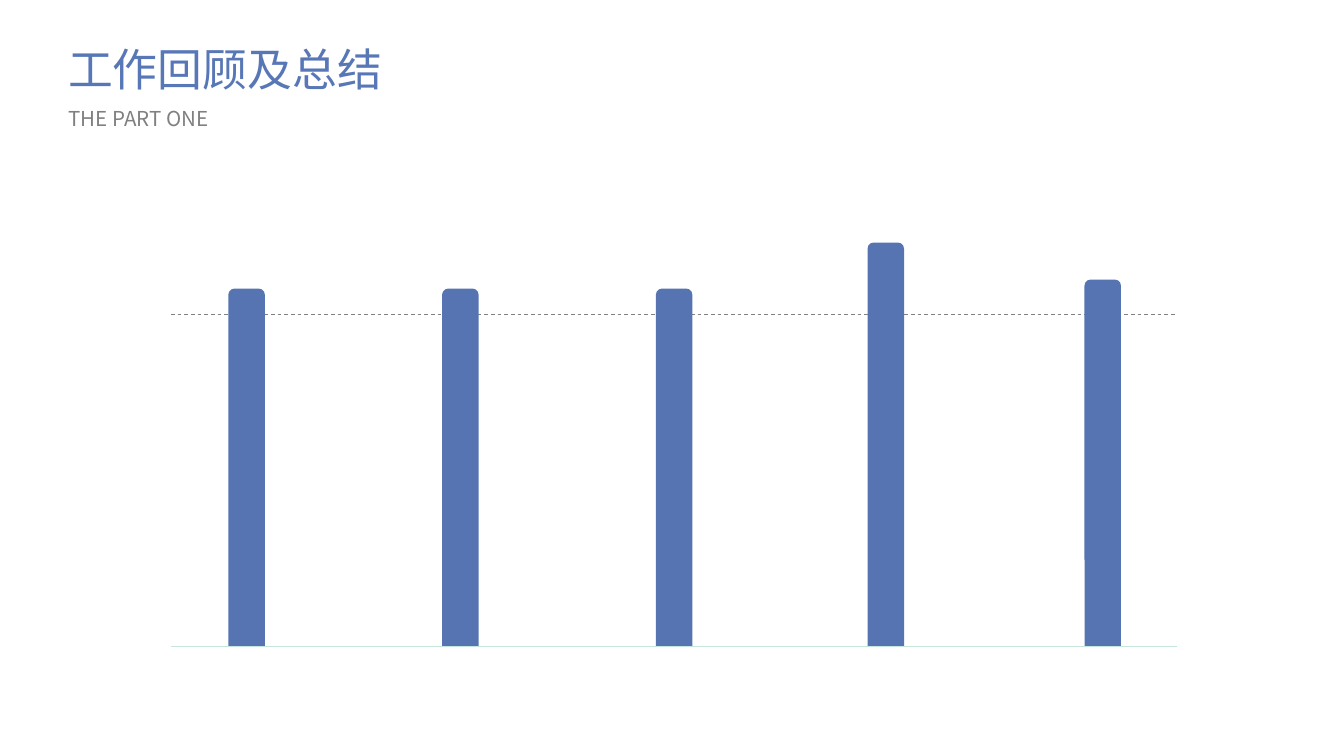
"""Build the work review slide with five bars, a guide line and a baseline."""
from lxml import etree
from pptx import Presentation
from pptx.dml.color import RGBColor
from pptx.enum.dml import MSO_LINE
from pptx.enum.shapes import MSO_CONNECTOR, MSO_SHAPE
from pptx.enum.text import MSO_AUTO_SIZE
from pptx.oxml.ns import qn
from pptx.util import Cm, Pt

STRAIGHT = MSO_CONNECTOR.STRAIGHT
ROUNDED_RECTANGLE = MSO_SHAPE.ROUNDED_RECTANGLE
RECTANGLE = MSO_SHAPE.RECTANGLE
DASH = MSO_LINE.DASH
SOLID = MSO_LINE.SOLID
FIT_SHAPE = MSO_AUTO_SIZE.SHAPE_TO_FIT_TEXT

BLUE = RGBColor(0x56, 0x74, 0xB2)
TITLE_TOP = RGBColor(0x58, 0x77, 0xB6)
TITLE_BOTTOM = RGBColor(0x46, 0x5E, 0x96)
GRAY = RGBColor(0x80, 0x80, 0x80)
MINT = RGBColor(0xC8, 0xE5, 0xDC)
WHITE = RGBColor(0xFF, 0xFF, 0xFF)
FONT = "Noto Sans CJK SC"


def add_rule(y, color, dash_style):
    connector = slide.shapes.add_connector(STRAIGHT, Cm(3.23), Cm(y), Cm(22.25), Cm(y))
    connector.line.color.rgb = color
    for name, value in {"width": Pt(0.5), "dash_style": dash_style}.items():
        setattr(connector.line, name, value)
    etree.SubElement(connector._element.spPr, qn("a:effectLst"))


def add_label(text, top, width, height, size):
    shape = slide.shapes.add_textbox(Cm(1.04), Cm(top), Cm(width), Cm(height))
    for name, value in {"word_wrap": True, "auto_size": FIT_SHAPE}.items():
        setattr(shape.text_frame, name, value)
    run = shape.text_frame.paragraphs[0].add_run()
    run.text = text
    for name, value in {"name": FONT, "size": Pt(size)}.items():
        setattr(run.font, name, value)
    etree.SubElement(run._r.get_or_add_rPr(), qn("a:ea"), typeface=FONT)
    return run.font


presentation = Presentation()
presentation.slide_width = Cm(25.4)
presentation.slide_height = Cm(14.29)
slide = presentation.slides.add_slide(presentation.slide_layouts[6])

add_rule(5.94, GRAY, DASH)

bar_width = 0.69
bars = [
    (4.66, 9.0, 7.09),
    (8.7, 9.0, 7.09),
    (12.74, 9.0, 7.09),
    (16.74, 8.47, 7.77),
    (20.84, 8.83, 7.09),
]
for center_x, center_y, length in bars:
    bar = slide.shapes.add_shape(
        ROUNDED_RECTANGLE,
        Cm(center_x - length / 2),
        Cm(center_y - bar_width / 2),
        Cm(length),
        Cm(bar_width),
    )
    bar.rotation = 90
    bar.adjustments[0] = 0.17
    bar.shadow.inherit = False
    bar.fill.solid()
    bar.fill.fore_color.rgb = BLUE
    bar.line.fill.background()

title_font = add_label("工作回顾及总结", 0.66, 6.58, 1.27, 24)
title_font.fill.gradient()
title_font.fill.gradient_angle = 270
for stop, color in zip(title_font.fill.gradient_stops, (TITLE_TOP, TITLE_BOTTOM)):
    stop.color.rgb = color

subtitle_font = add_label("THE PART ONE", 1.88, 5.16, 0.74, 11)
subtitle_font.color.rgb = GRAY

bottom_mask = slide.shapes.add_shape(RECTANGLE, Cm(4.32), Cm(12.24), Cm(17.93), Cm(2.03))
bottom_mask.shadow.inherit = False
bottom_mask.fill.solid()
bottom_mask.fill.fore_color.rgb = WHITE
bottom_mask.line.color.rgb = WHITE
bottom_mask.line.width = Pt(1)

add_rule(12.22, MINT, SOLID)

presentation.save("out.pptx")
